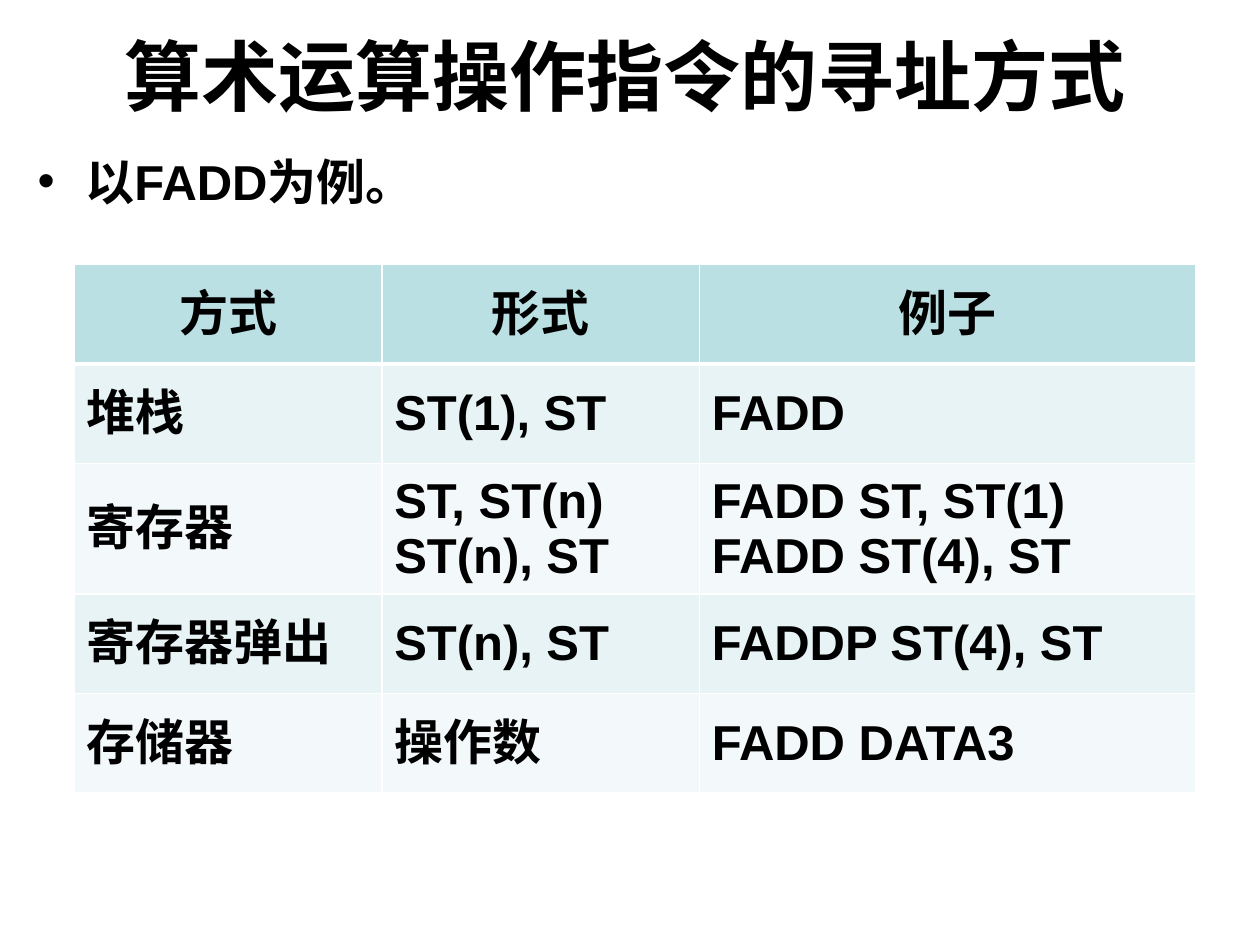
from lxml import etree
from pptx import Presentation
from pptx import util as u
from pptx.dml.color import RGBColor
from pptx.enum import text
from pptx.oxml.ns import qn

COLORS = {"ink": "000000", "header": "BBE0E3", "odd": "E7F3F4",
          "even": "F3F9FA", "border": "FFFFFF"}


def write(frame, lines, size, align, anchor):
    """Fill a text frame with bold lines, one paragraph each."""
    frame.word_wrap = True
    frame.vertical_anchor = anchor
    for i, line in enumerate(lines):
        paragraph = frame.paragraphs[0] if i == 0 else frame.add_paragraph()
        paragraph.alignment = align
        run = paragraph.add_run()
        run.text = line
        run.font.size = u.Pt(size)
        run.font.bold = True
        run.font.name = "Arial"
        run.font.color.rgb = RGBColor.from_string(COLORS["ink"])
        etree.SubElement(run.font._element, qn("a:ea"), typeface="Arial")


def add_borders(cell, bottom):
    """Draw white cell borders, with the bottom width in points."""
    properties = cell._tc.get_or_add_tcPr()
    for i, (side, width) in enumerate(zip("LRTB", (1, 1, 1, bottom))):
        line = etree.Element(qn(f"a:ln{side}"), w=str(u.Pt(width)))
        fill = etree.SubElement(line, qn("a:solidFill"))
        etree.SubElement(fill, qn("a:srgbClr"), val=COLORS["border"])
        properties.insert(i, line)


deck = Presentation()
deck.slide_width, deck.slide_height = u.Inches(10), u.Inches(7.5)
slide = deck.slides.add_slide(deck.slide_layouts[6])
left, center = text.PP_ALIGN.LEFT, text.PP_ALIGN.CENTER
top, middle = text.MSO_ANCHOR.TOP, text.MSO_ANCHOR.MIDDLE

title = slide.shapes.add_textbox(u.Inches(0.2), u.Inches(0.21), u.Inches(9.53), u.Inches(0.77))
write(title.text_frame, ["算术运算操作指令的寻址方式"], 44, center, middle)

intro = slide.shapes.add_textbox(u.Inches(0.2), u.Inches(1.15), u.Inches(9.53), u.Inches(0.71))
write(intro.text_frame, ["以FADD为例。"], 28, left, top)
bullet = intro.text_frame.paragraphs[0]._p.get_or_add_pPr()
bullet.set("marL", str(u.Inches(0.38)))
bullet.set("indent", str(u.Inches(-0.38)))
spacing = etree.SubElement(bullet, qn("a:spcBef"))
etree.SubElement(spacing, qn("a:spcPct"), val="20000")
etree.SubElement(bullet, qn("a:buFont"), typeface="Arial")
etree.SubElement(bullet, qn("a:buChar"), char="•")

modes = [
    ("方式", "形式", "例子"),
    ("堆栈", "ST(1), ST", "FADD"),
    ("寄存器", "ST, ST(n)\nST(n), ST", "FADD ST, ST(1)\nFADD ST(4), ST"),
    ("寄存器弹出", "ST(n), ST", "FADDP ST(4), ST"),
    ("存储器", "操作数", "FADD DATA3"),
]
widths = (2.44, 2.52, 3.94)
row_height = 0.79
table = slide.shapes.add_table(
    len(modes), len(widths), u.Inches(0.59), u.Inches(2.1),
    u.Inches(sum(widths)), u.Inches(row_height * len(modes))).table
for column, width in zip(table.columns, widths):
    column.width = u.Inches(width)
for r, mode in enumerate(modes):
    table.rows[r].height = u.Inches(row_height)
    shade = "header" if r == 0 else "odd" if r % 2 else "even"
    for c, entry in enumerate(mode):
        cell = table.cell(r, c)
        write(cell.text_frame, entry.split("\n"), 28, left if r else center, middle)
        cell.vertical_anchor = middle
        cell.fill.solid()
        cell.fill.fore_color.rgb = RGBColor.from_string(COLORS[shade])
        add_borders(cell, 1 if r else 3)

deck.save("out.pptx")
